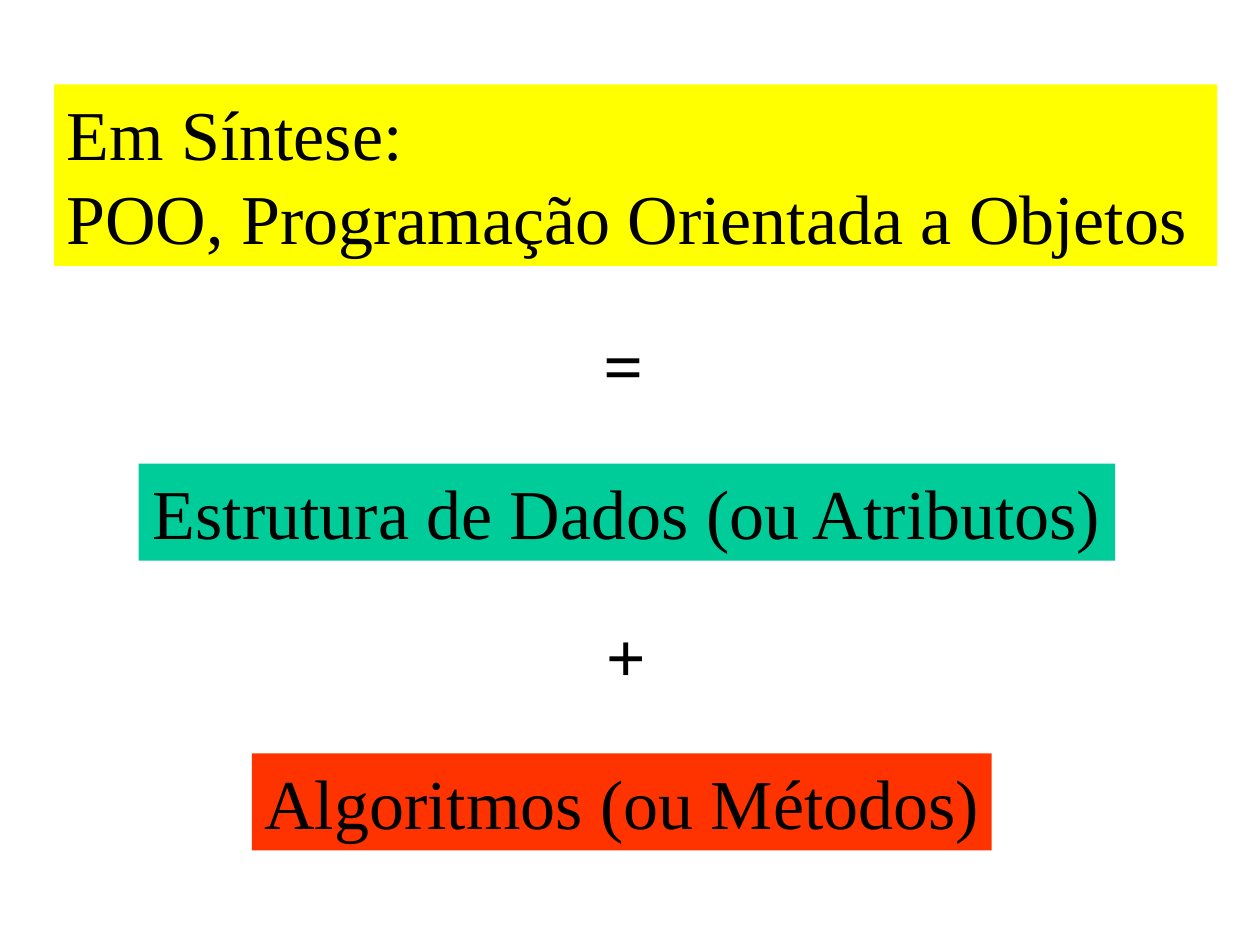
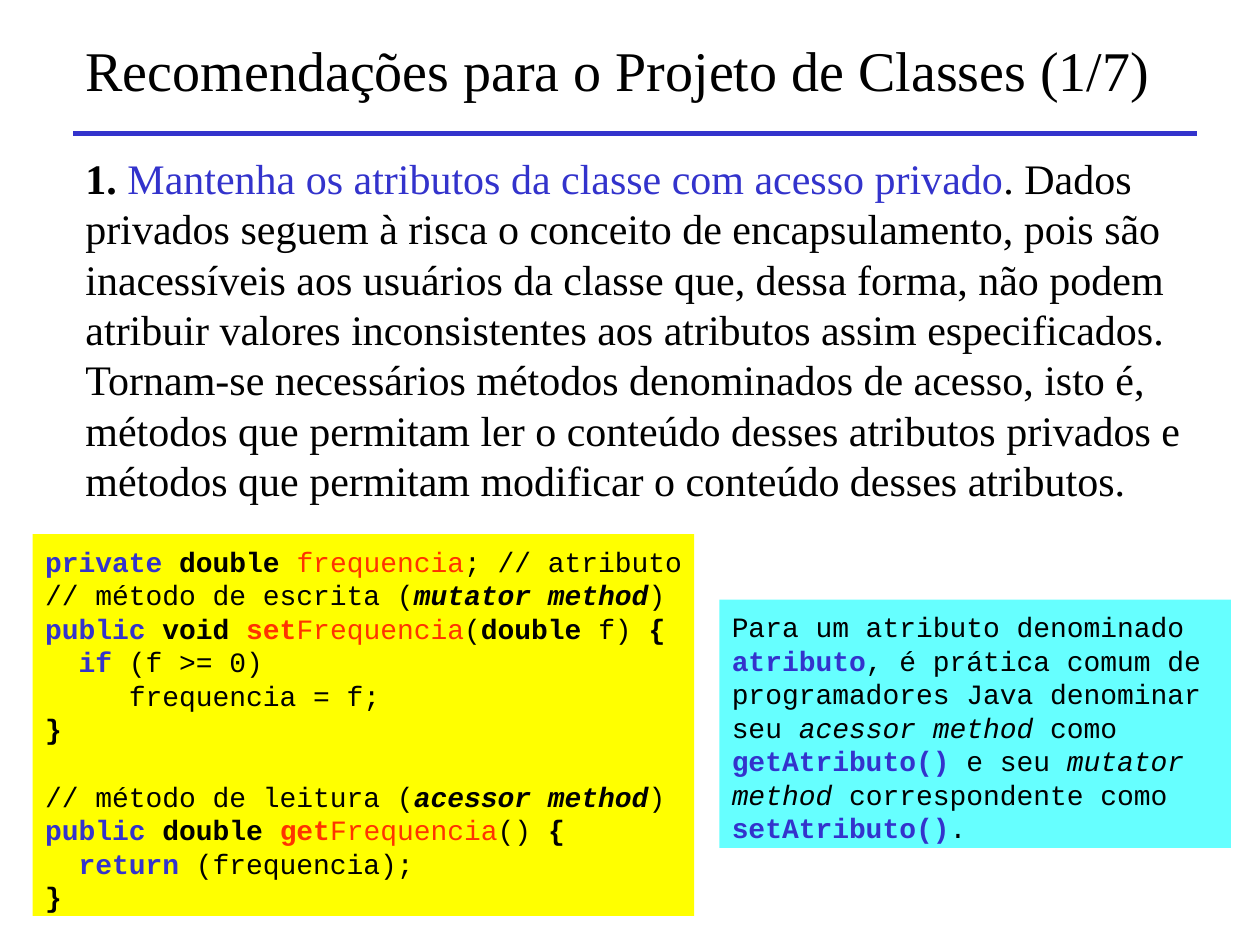
from dataclasses import dataclass
from typing import NamedTuple

import pptx
import pptx.dml.color
import pptx.enum.shapes
import pptx.enum.text
import pptx.oxml.ns
import pptx.util
from lxml import etree

Pt = pptx.util.Pt
ALIGN = pptx.enum.text.PP_ALIGN
ANCHOR = pptx.enum.text.MSO_ANCHOR

# Shared look
SERIF, MONO = "Times New Roman", "Courier New"
BLACK, BLUE, RED = "000000", "3333CC", "FF3300"
YELLOW, GREEN, CYAN = "FFFF00", "00CC99", "66FFFF"
LINE_FACTOR = 1.2
LEFT_EDGE, RIGHT_EDGE = 41.76, 684


class Span(NamedTuple):
    text: str
    color: str = BLACK
    bold: bool = False
    italic: bool = False


class Line(NamedTuple):
    spans: list[Span]
    blank_lines_before: int = 0


@dataclass
class Panel:
    left: float
    top: float
    width: float
    height: float
    lines: list[Line]
    size: float
    fill: str | None = None
    font: str = SERIF
    centered: bool = False
    drop: float = 0  # moves the text down inside the panel


def color_of(hex_string: str) -> pptx.dml.color.RGBColor:
    return pptx.dml.color.RGBColor.from_string(hex_string)


def plain(text: str, bold: bool = False) -> Line:
    return Line([Span(text, bold=bold)])


def keyword(text: str) -> Span:
    return Span(text, BLUE, bold=True)


def strong(text: str) -> Span:
    return Span(text, bold=True)


def method_comment(purpose: str, term: str, blank_lines: int = 0) -> Line:
    return Line([Span(f"// método de {purpose} ("), Span(term, bold=True, italic=True),
                 Span(")")], blank_lines)


def write_line(para, line: Line, size: float, font: str) -> None:
    para.line_spacing = Pt(size * LINE_FACTOR)
    para.space_before = Pt(line.blank_lines_before * size * LINE_FACTOR)
    for span in line.spans:
        run = para.add_run()
        run.text = span.text
        run.font.name, run.font.size = font, Pt(size)
        run.font.bold, run.font.italic = span.bold, span.italic
        run.font.color.rgb = color_of(span.color)


def draw_panel(page, panel: Panel) -> None:
    area = [Pt(length) for length in (panel.left, panel.top, panel.width, panel.height)]
    if panel.fill:
        box = page.shapes.add_shape(pptx.enum.shapes.MSO_SHAPE.RECTANGLE, *area)
        box.shadow.inherit = False
        box.fill.solid()
        box.fill.fore_color.rgb = color_of(panel.fill)
        box.line.fill.background()
    else:
        box = page.shapes.add_textbox(*area)
    frame = box.text_frame
    frame.word_wrap = not panel.centered
    frame.vertical_anchor = ANCHOR.TOP
    frame.margin_left = Pt(7.2)
    frame.margin_right = Pt(7.2 if panel.centered else 0)
    frame.margin_top, frame.margin_bottom = Pt(3.6 + panel.drop), Pt(3.6 - panel.drop)
    for index, line in enumerate(panel.lines):
        para = frame.add_paragraph() if index else frame.paragraphs[0]
        para.alignment = ALIGN.CENTER if panel.centered else ALIGN.LEFT
        write_line(para, line, panel.size, panel.font)


def draw_title(page, text: str) -> None:
    title = page.shapes.title
    title.left, title.top = Pt(LEFT_EDGE), Pt(12.24)
    title.width, title.height = Pt(635.76), Pt(54)
    frame = title.text_frame
    frame.text = text
    frame.vertical_anchor = ANCHOR.MIDDLE
    para = frame.paragraphs[0]
    para.alignment = ALIGN.LEFT
    para.line_spacing = Pt(32 * LINE_FACTOR)
    font = para.runs[0].font
    font.name, font.size = SERIF, Pt(32)
    font.color.rgb = color_of(BLACK)


def draw_rule(page, height: float) -> None:
    rule = page.shapes.add_connector(pptx.enum.shapes.MSO_CONNECTOR.STRAIGHT,
                                     Pt(LEFT_EDGE), Pt(height), Pt(RIGHT_EDGE), Pt(height))
    rule.line.color.rgb = color_of(BLUE)
    rule.line.width = Pt(3)
    properties = rule.element.find(pptx.oxml.ns.qn("p:spPr"))
    etree.SubElement(properties, pptx.oxml.ns.qn("a:effectLst"))


def build_summary(deck) -> None:
    page = deck.slides.add_slide(deck.slide_layouts[6])
    panels = [
        Panel(30.96, 48.24, 664.56, 103.68,
              [plain("Em Síntese:"), plain("POO, Programação Orientada a Objetos")],
              40, YELLOW),
        Panel(79.2, 264.96, 558, 55.44, [plain("Estrutura de Dados (ou Atributos)")],
              40, GREEN, centered=True),
        Panel(144, 430.56, 422.64, 55.44, [plain("Algoritmos (ou Métodos)")],
              40, RED, centered=True),
        Panel(339.12, 346.32, 36.72, 55.44, [plain("+", True)], 40, centered=True),
        Panel(337.68, 180, 36.72, 55.44, [plain("=", True)], 40, centered=True),
    ]
    for panel in panels:
        draw_panel(page, panel)


def build_recommendation(deck) -> None:
    page = deck.slides.add_slide(deck.slide_layouts[5])
    draw_title(page, "Recomendações para o Projeto de Classes (1/7)")
    draw_rule(page, 76.32)

    # Advice
    advice = Line([
        strong("1. "),
        Span("Mantenha os atributos da classe com acesso privado", BLUE),
        Span(". Dados privados seguem à risca o conceito de encapsulamento, pois são "
             "inacessíveis aos usuários da classe que, dessa forma, não podem atribuir "
             "valores inconsistentes aos atributos assim especificados. Tornam-se "
             "necessários métodos denominados de acesso, isto é, métodos que permitam "
             "ler o conteúdo desses atributos privados e métodos que permitam modificar "
             "o conteúdo desses atributos."),
    ])
    draw_panel(page, Panel(LEFT_EDGE, 83.52, RIGHT_EDGE - LEFT_EDGE, 208.8, [advice], 24))

    # Code sample
    code = [
        Line([keyword("private "), strong("double "), Span("frequencia", RED),
              Span("; // atributo")]),
        method_comment("escrita", "mutator method"),
        Line([keyword("public "), strong("void "), Span("set", RED, True),
              Span("Frequencia", RED), Span("("), strong("double "), Span("f) "),
              strong("{")]),
        Line([Span("  "), keyword("if"), Span(" (f >= 0)")]),
        plain("     frequencia = f;"),
        plain("}", True),
        method_comment("leitura", "acessor method", blank_lines=1),
        Line([keyword("public "), strong("double "), Span("get", RED, True),
              Span("Frequencia", RED), Span("() "), strong("{")]),
        Line([Span("  "), keyword("return"), Span(" (frequencia);")]),
        plain("}", True),
    ]
    draw_panel(page, Panel(18.72, 305.28, 378, 218.16, code, 16, YELLOW, MONO, drop=2))

    # Naming convention
    naming = [
        plain("Para um atributo denominado"),
        Line([keyword("atributo"), Span(", é prática comum de")]),
        plain("programadores Java denominar"),
        Line([Span("seu "), Span("acessor method", italic=True), Span(" como")]),
        Line([keyword("getAtributo()"), Span(" e seu "), Span("mutator", italic=True)]),
        Line([Span("method ", italic=True), Span("correspondente como")]),
        Line([keyword("setAtributo()"), Span(".")]),
    ]
    draw_panel(page, Panel(411.12, 342.72, 292.32, 141.84, naming, 16, CYAN, MONO, drop=2))


def main() -> None:
    deck = pptx.Presentation()
    deck.slide_width, deck.slide_height = Pt(720), Pt(540)
    build_summary(deck)
    build_recommendation(deck)
    deck.save("out.pptx")


if __name__ == "__main__":
    main()
